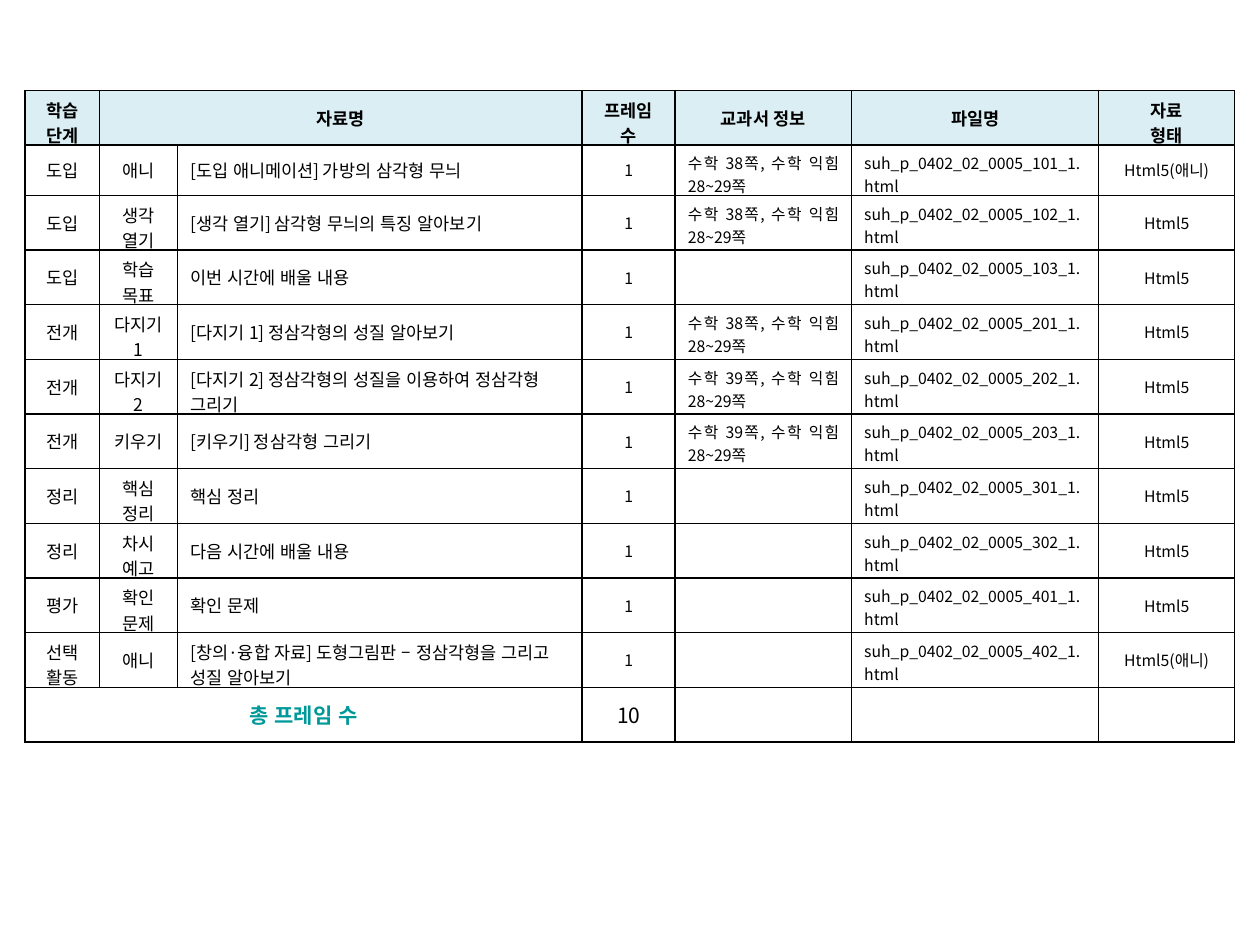
import dataclasses
import typing

import pptx
import pptx.dml.color
import pptx.enum.lang
import pptx.enum.text
import pptx.oxml
import pptx.oxml.ns
import pptx.util

Inches = pptx.util.Inches
Align = pptx.enum.text.PP_ALIGN
RGBColor = pptx.dml.color.RGBColor

BLACK = RGBColor(0x00, 0x00, 0x00)
TEAL = RGBColor(0x00, 0x99, 0x99)
PALE_BLUE = RGBColor(0xDB, 0xEE, 0xF4)
FONT_NAME = "Noto Sans CJK KR"

COLUMN_WIDTHS = [0.59, 0.62, 3.21, 0.74, 1.4, 1.96, 1.08]
ROW_HEIGHTS = [0.43, 0.4] + [0.434] * 10
SIDE_MARGIN, TOP_MARGIN = 0.1, 0.05
LINE_PITCH = 1.45
HANGUL_WIDTH, LATIN_WIDTH = 0.92, 0.55


@dataclasses.dataclass(frozen=True)
class TextStyle:
    size: float
    align: typing.Optional[int] = Align.CENTER
    bold: bool = False
    color: RGBColor = BLACK


@dataclasses.dataclass(frozen=True)
class Material:
    stage: str
    kind: str
    name: str
    file_code: str
    textbook_page: str = ""
    file_type: str = "Html5"

    def texts(self) -> list[str]:
        textbook = f"수학 {self.textbook_page}쪽, 수학 익힘 28~29쪽" if self.textbook_page else ""
        file_name = f"suh_p_0402_02_0005_{self.file_code}_1.html"
        return [self.stage, self.kind, self.name, "1", textbook, file_name, self.file_type]


HEADER = TextStyle(10, bold=True)
LABEL = TextStyle(10)
NAME = TextStyle(10, align=None)
SMALL = TextStyle(9)
JUSTIFIED = TextStyle(9, align=Align.JUSTIFY)
TOTAL_LABEL = TextStyle(12, bold=True, color=TEAL)
TOTAL_COUNT = TextStyle(12)
COLUMN_STYLES = [LABEL, LABEL, NAME, SMALL, JUSTIFIED, JUSTIFIED, SMALL]

HEADINGS = ["학습 단계", "자료명", "", "프레임 수", "교과서 정보", "파일명", "자료\n형태"]
MATERIALS = [
    Material("도입", "애니", "[도입 애니메이션] 가방의 삼각형 무늬", "101", "38", "Html5(애니)"),
    Material("도입", "생각 열기", "[생각 열기] 삼각형 무늬의 특징 알아보기", "102", "38"),
    Material("도입", "학습 목표", "이번 시간에 배울 내용", "103"),
    Material("전개", "다지기 1", "[다지기 1] 정삼각형의 성질 알아보기", "201", "38"),
    Material("전개", "다지기 2", "[다지기 2] 정삼각형의 성질을 이용하여 정삼각형 그리기", "202", "39"),
    Material("전개", "키우기", "[키우기] 정삼각형 그리기", "203", "39"),
    Material("정리", "핵심 정리", "핵심 정리", "301"),
    Material("정리", "차시 예고", "다음 시간에 배울 내용", "302"),
    Material("평가", "확인 문제", "확인 문제", "401"),
    Material("선택 활동", "애니", "[창의·융합 자료] 도형그림판 – 정삼각형을 그리고 성질 알아보기",
             "402", file_type="Html5(애니)"),
]


def add_borders(cell) -> None:
    properties = cell._tc.get_or_add_tcPr()
    for position, side in enumerate(("lnL", "lnR", "lnT", "lnB")):
        line = pptx.oxml.parse_xml(
            f'<a:{side} {pptx.oxml.ns.nsdecls("a")} w="12700"><a:solidFill>'
            f'<a:srgbClr val="{BLACK}"/></a:solidFill></a:{side}>')
        properties.insert(position, line)


def bottom_margin(text: str, size: float, width: float, height: float) -> float:
    """Give wrapped text the room it needs without letting its row grow."""
    ems = sum(HANGUL_WIDTH if char >= "가" else LATIN_WIDTH for char in text)
    wraps = "\n" in text or ems * size / 72 > width - 2 * SIDE_MARGIN
    text_height = (2 if wraps else 1) * size * LINE_PITCH / 72
    return min(TOP_MARGIN, height - TOP_MARGIN - text_height - 0.005)


def fill_cell(cell, text: str, style: TextStyle, bottom: float,
              fill: typing.Optional[RGBColor] = None) -> None:
    cell_format = {
        "vertical_anchor": pptx.enum.text.MSO_ANCHOR.MIDDLE,
        "margin_left": Inches(SIDE_MARGIN), "margin_right": Inches(SIDE_MARGIN),
        "margin_top": Inches(TOP_MARGIN), "margin_bottom": Inches(bottom),
    }
    for attribute, value in cell_format.items():
        setattr(cell, attribute, value)
    if fill is None:
        cell.fill.background()
    else:
        cell.fill.solid()
        cell.fill.fore_color.rgb = fill
    add_borders(cell)

    cell.text = text
    font_format = {"name": FONT_NAME, "size": pptx.util.Pt(style.size), "bold": style.bold,
                   "language_id": pptx.enum.lang.MSO_LANGUAGE_ID.KOREAN}
    for para in cell.text_frame.paragraphs:
        para.alignment = style.align
        for font in [para.font] + [span.font for span in para.runs]:
            for attribute, value in font_format.items():
                setattr(font, attribute, value)
            font.color.rgb = style.color
        for span in para.runs:
            east_asian = pptx.oxml.parse_xml(
                f'<a:ea {pptx.oxml.ns.nsdecls("a")} typeface="{FONT_NAME}"/>')
            span.font._element.append(east_asian)


def fill_row(table, row: int, texts: list[str], styles: list[TextStyle],
             fill: typing.Optional[RGBColor] = None) -> None:
    for column, (text, style) in enumerate(zip(texts, styles)):
        cell = table.cell(row, column)
        span_width = cell.span_width if cell.is_merge_origin else 1
        width = sum(COLUMN_WIDTHS[column:column + span_width])
        bottom = bottom_margin(text, style.size, width, ROW_HEIGHTS[row])
        fill_cell(cell, text, style, bottom, fill)


def main() -> None:
    deck = pptx.Presentation()
    deck.slide_width, deck.slide_height = Inches(10), Inches(7.5)
    page = deck.slides.add_slide(deck.slide_layouts[6])

    # Table grid
    frame = page.shapes.add_table(len(ROW_HEIGHTS), len(COLUMN_WIDTHS), Inches(0.2),
                                  Inches(0.72), Inches(9.6), Inches(5.17))
    table = frame.table
    table.first_row = table.horz_banding = False
    for column, width in zip(table.columns, COLUMN_WIDTHS):
        column.width = Inches(width)
    for row, height in zip(table.rows, ROW_HEIGHTS):
        row.height = Inches(height)

    # Merged cells
    last = len(ROW_HEIGHTS) - 1
    table.cell(0, 1).merge(table.cell(0, 2))
    table.cell(last, 0).merge(table.cell(last, 2))

    # Heading, materials and total
    fill_row(table, 0, HEADINGS, [HEADER] * len(HEADINGS), PALE_BLUE)
    for row, material in enumerate(MATERIALS, start=1):
        fill_row(table, row, material.texts(), COLUMN_STYLES)
    fill_row(table, last, ["총 프레임 수", "", "", "10", "", "", ""],
             [TOTAL_LABEL] * 3 + [TOTAL_COUNT] + [SMALL] * 3)

    deck.save("out.pptx")


if __name__ == "__main__":
    main()
